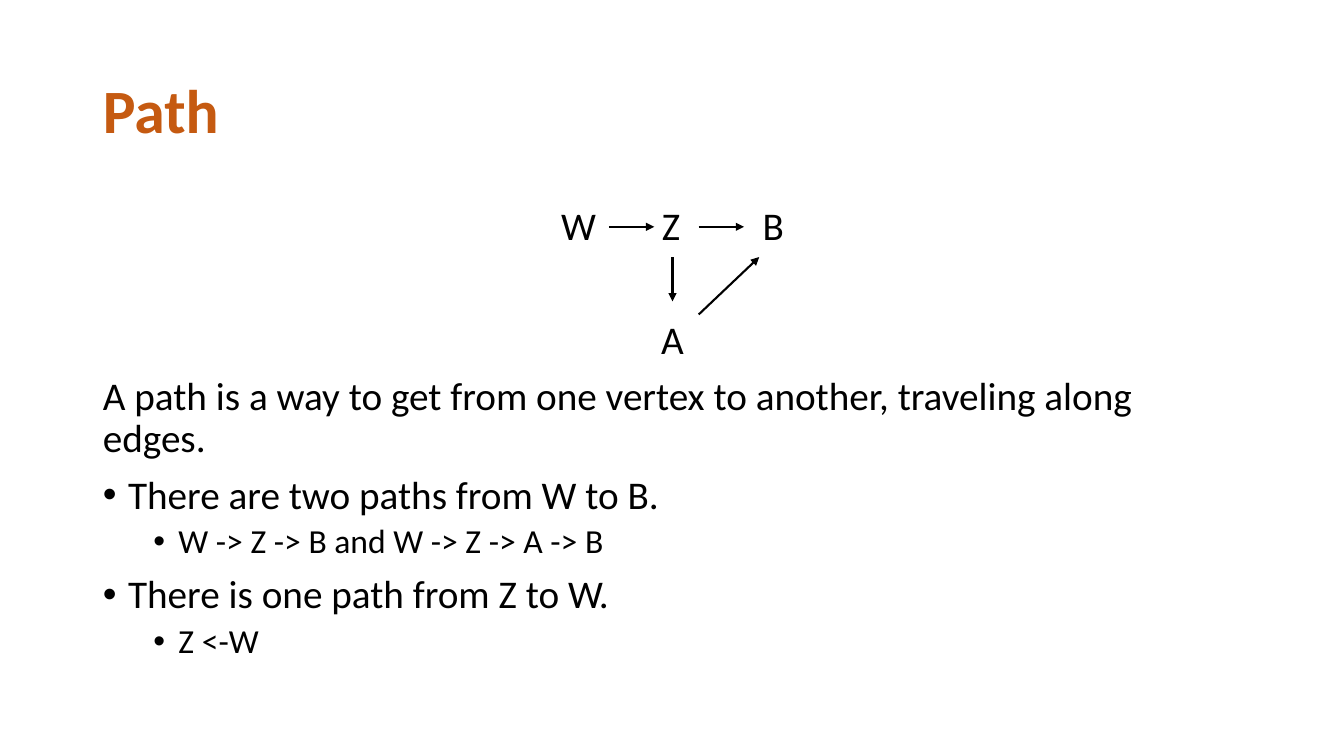
"""Build a slide that explains paths in a directed graph."""
from lxml import etree
from pptx import Presentation
from pptx.dml.color import RGBColor
from pptx.enum.shapes import MSO_CONNECTOR
from pptx.enum.text import MSO_ANCHOR, MSO_AUTO_SIZE, PP_ALIGN
from pptx.oxml.ns import qn
from pptx.util import Inches, Pt

STRAIGHT = MSO_CONNECTOR.STRAIGHT
MIDDLE, TOP = MSO_ANCHOR.MIDDLE, MSO_ANCHOR.TOP
LEFT, CENTER = PP_ALIGN.LEFT, PP_ALIGN.CENTER
FIXED = MSO_AUTO_SIZE.NONE


def color(value):
    """Turn a hex string into a colour."""
    return RGBColor.from_string(value)


class GraphSlide:
    """Hold the style and the current slide."""

    font, ink, accent = "Calibri", "000000", "C55A11"
    sizes, gaps, indents = (28, 24), (10, 5), (0.25, 0.75)

    def __init__(self, deck):
        """Add a title and content page to the deck."""
        self.page = deck.slides.add_slide(deck.slide_layouts[1])

    def frame(self, index, left, top, width, height, anchor):
        """Place a placeholder and return its text frame."""
        box = self.page.placeholders[index]
        box.left, box.top = Inches(left), Inches(top)
        box.width, box.height = Inches(width), Inches(height)
        frame = box.text_frame
        frame.word_wrap = True
        frame.auto_size = FIXED
        frame.vertical_anchor = anchor
        return frame

    def add_text(self, para, text, size, ink, align=LEFT, before=0, bold=False):
        """Fill a paragraph with one styled run."""
        para.alignment = align
        para.line_spacing = 0.9
        para.space_before = Pt(before)
        span = para.add_run()
        span.text = text
        span.font.name = self.font
        span.font.size = Pt(size)
        span.font.bold = bold
        span.font.color.rgb = color(ink)

    def title(self, text):
        """Fill the title placeholder."""
        frame = self.frame(0, 0.92, 0.4, 11.5, 1.45, MIDDLE)
        self.add_text(frame.paragraphs[0], text, 44, self.accent, bold=True)

    def body(self, items):
        """Add (text, level, bulleted, align, extra space) items."""
        frame = self.frame(1, 0.92, 2, 11.5, 4.76, TOP)
        for number, (text, level, bulleted, align, extra) in enumerate(items):
            para = frame.add_paragraph() if number else frame.paragraphs[0]
            para.level = level
            self.add_text(para, text, self.sizes[level], self.ink, align,
                          self.gaps[level] + extra)
            self.bullet(para, level, bulleted)

    def bullet(self, para, level, bulleted):
        """Set the indent, tab width and bullet of a paragraph."""
        props = para._p.get_or_add_pPr()
        props.set("marL", str(Inches(self.indents[level] if bulleted else 0)))
        props.set("indent", str(Inches(-0.25 if bulleted else 0)))
        props.set("defTabSz", str(Inches(1)))
        if bulleted:
            etree.SubElement(props, qn("a:buFont")).set("typeface", "Arial")
            etree.SubElement(props, qn("a:buChar")).set("char", "•")
        else:
            etree.SubElement(props, qn("a:buNone"))

    def arrow(self, start, end):
        """Draw an arrow between two points."""
        points = [Inches(value) for value in start + end]
        line = self.page.shapes.add_connector(STRAIGHT, *points)
        line.line.color.rgb = color(self.ink)
        line.line.width = Pt(1.5)
        tip = etree.SubElement(line.line._get_or_add_ln(), qn("a:tailEnd"))
        tip.set("type", "triangle")
        etree.SubElement(line._element.spPr, qn("a:effectLst"))


deck = Presentation()
deck.slide_width, deck.slide_height = Inches(13.33), Inches(7.5)
slide = GraphSlide(deck)
slide.title("Path")
slide.body([
    ("W\tZ\tB", 0, False, CENTER, 0),
    ("A", 0, False, CENTER, 41),
    ("A path is a way to get from one vertex to another, "
     "traveling along edges.", 0, False, LEFT, 0),
    ("There are two paths from W to B.", 0, True, LEFT, 0),
    ("W -> Z -> B and W -> Z -> A -> B", 1, True, LEFT, 0),
    ("There is one path from Z to W.", 0, True, LEFT, 0),
    ("Z <-W", 1, True, LEFT, 0),
])
edges = [
    ((6.04, 2.25), (6.49, 2.25)),
    ((6.93, 2.25), (7.38, 2.25)),
    ((6.67, 2.55), (6.67, 2.99)),
    ((6.93, 3.12), (7.53, 2.55)),
]
for start, end in edges:
    slide.arrow(start, end)
deck.save("out.pptx")
